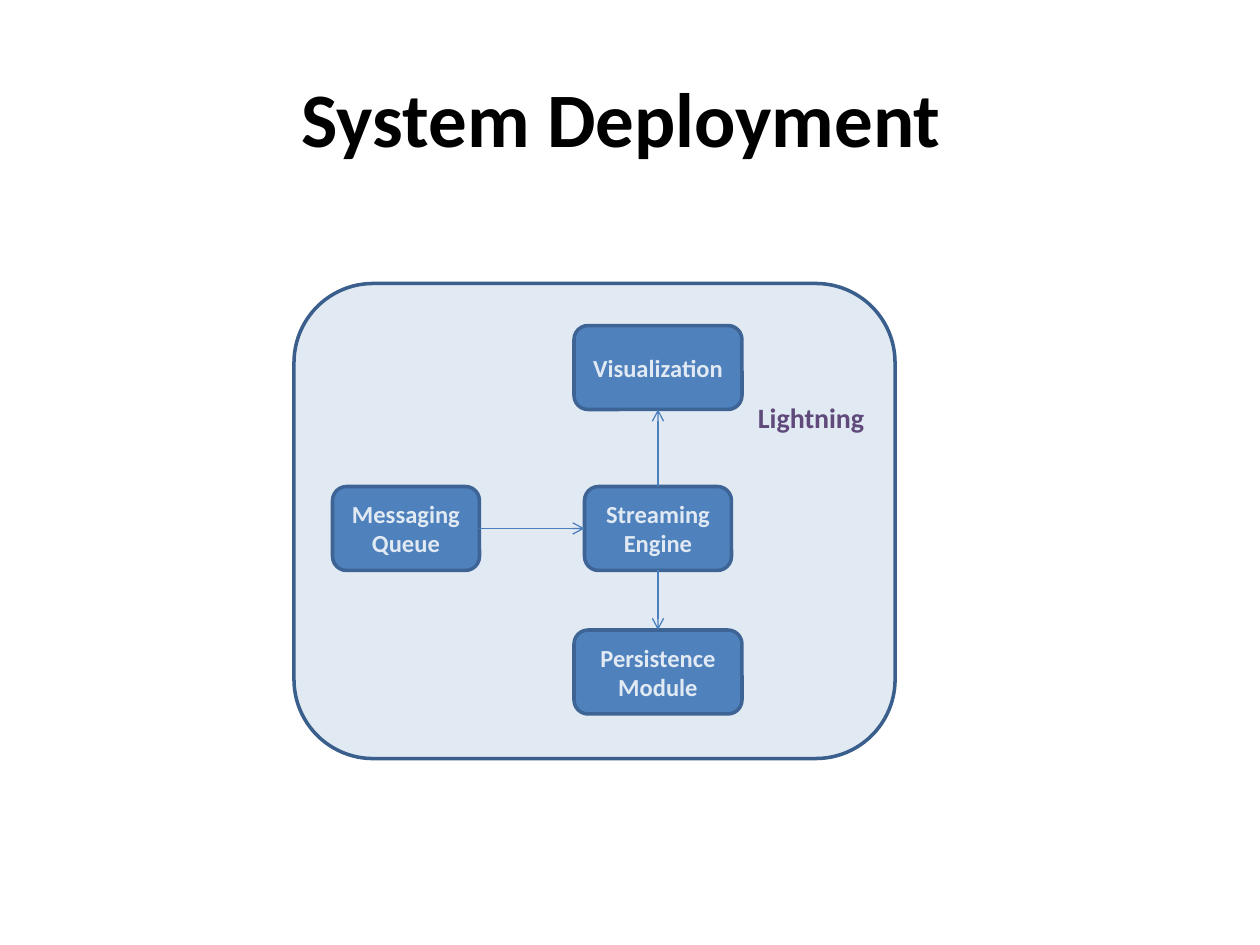
import pptx
import pptx.util
import pptx.dml.color
import pptx.enum.shapes
import pptx.enum.text
import pptx.oxml
import pptx.oxml.ns

Pt = pptx.util.Pt
RGB = pptx.dml.color.RGBColor
SHAPE = pptx.enum.shapes.MSO_SHAPE
LINE = pptx.enum.shapes.MSO_CONNECTOR
ALIGN = pptx.enum.text.PP_ALIGN
MIDDLE = pptx.enum.text.MSO_ANCHOR.MIDDLE
TOP = pptx.enum.text.MSO_ANCHOR.TOP

BLUE = RGB(0x4F, 0x81, 0xBD)
EDGE = RGB(0x3A, 0x5F, 0x8C)
ARROW = RGB(0x4B, 0x7E, 0xBC)
PURPLE = RGB(0x60, 0x4A, 0x7B)
WHITE = RGB(0xFF, 0xFF, 0xFF)
BLACK = RGB(0, 0, 0)

# Connection sites of a rectangle
UP, LEFT, DOWN, RIGHT = range(4)


def write(frame, text, size, color, anchor=MIDDLE):
    frame.word_wrap = True
    frame.vertical_anchor = anchor
    para = frame.paragraphs[0]
    para.text = text
    para.alignment = ALIGN.CENTER
    style = {"name": "Calibri", "size": Pt(size), "bold": True}
    for key, value in style.items():
        setattr(para.font, key, value)
    para.font.color.rgb = color


def place(shape, box):
    for key, value in zip(("left", "top", "width", "height"), box):
        setattr(shape, key, Pt(value))


def add_round(slide, box):
    shape = slide.shapes.add_shape(
        SHAPE.ROUNDED_RECTANGLE, *[Pt(value) for value in box])
    shape.shadow.inherit = False
    shape.fill.solid()
    shape.fill.fore_color.rgb = BLUE
    shape.line.color.rgb = EDGE
    shape.line.width = Pt(2)
    return shape


def add_node(slide, text, mid, top, width):
    node = add_round(slide, (mid - width / 2, top, width, 48))
    write(node.text_frame, text, 14, WHITE)
    return node


def add_arrow(slide, start, out, end, into):
    arrow = slide.shapes.add_connector(LINE.STRAIGHT, 0, 0, 0, 0)
    arrow.begin_connect(start, out)
    arrow.end_connect(end, into)
    arrow.line.color.rgb = ARROW
    arrow.line.width = Pt(0.75)
    sub = pptx.oxml.ns.qn
    tail = arrow.line._get_or_add_ln().makeelement(sub("a:tailEnd"), {"type": "arrow"})
    arrow.line._get_or_add_ln().append(tail)
    props = arrow._element.spPr
    props.append(props.makeelement(sub("a:effectLst"), {}))


def add_title(slide, box):
    title = slide.shapes.title
    place(title, box)
    # The closing space shifts the centred line slightly left
    write(title.text_frame, "System Deployment ", 44, BLACK)


def add_system(slide, box):
    left, top, width, height = box
    mid = left + 208

    # Modules
    queue = add_node(slide, "Messaging Queue", left + 64, top + 116, 84)
    engine = add_node(slide, "Streaming Engine", mid, top + 116, 84)
    store = add_node(slide, "Persistence Module", mid, top + 198, 96)
    view = add_node(slide, "Visualization", mid, top + 24, 96)

    # Data flow
    add_arrow(slide, queue, RIGHT, engine, LEFT)
    add_arrow(slide, engine, DOWN, store, UP)
    add_arrow(slide, engine, UP, view, DOWN)

    # Translucent panel over the modules
    panel = add_round(slide, box)
    tint = panel.fill._xPr.find(".//" + pptx.oxml.ns.qn("a:srgbClr"))
    tint.append(tint.makeelement(pptx.oxml.ns.qn("a:alpha"), {"val": "17000"}))

    # System name
    label = slide.shapes.add_textbox(
        Pt(left + 252), Pt(top + 63.4), Pt(87), Pt(26.6))
    write(label.text_frame, "Lightning", 16, PURPLE, TOP)


def main():
    deck = pptx.Presentation()
    deck.slide_width, deck.slide_height = Pt(720), Pt(540)
    slide = deck.slides.add_slide(deck.slide_layouts[5])
    add_title(slide, (36, 21.6, 648, 90))
    add_system(slide, (168, 162, 343.5, 271.5))
    deck.save("out.pptx")


if __name__ == "__main__":
    main()
